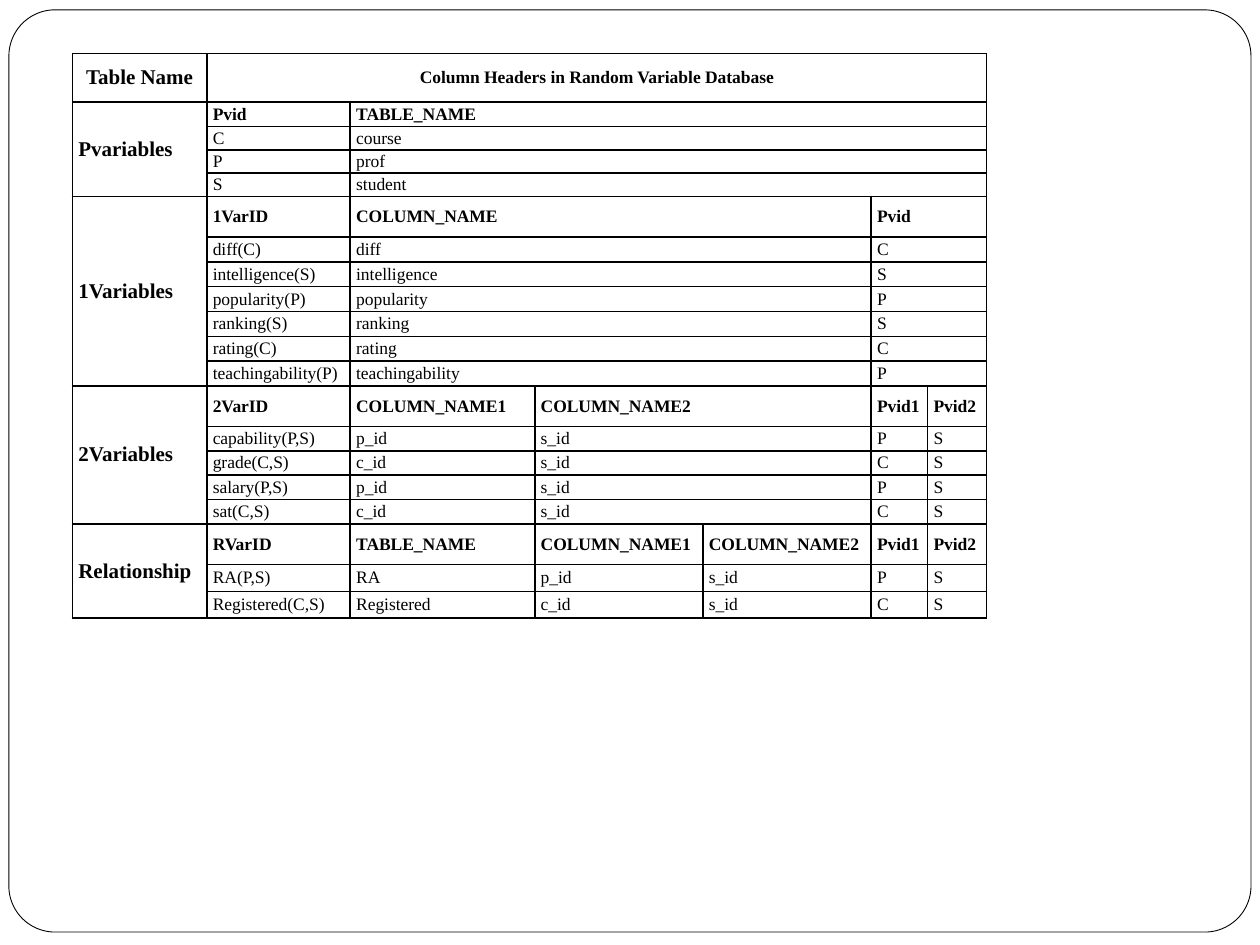
"""Build a slide with the schema table of a random variable database."""
import pptx
import pptx.dml.color
import pptx.enum.shapes
import pptx.enum.text
import pptx.oxml
import pptx.oxml.ns
import pptx.util

Cm, Pt = pptx.util.Cm, pptx.util.Pt
BLACK = pptx.dml.color.RGBColor(0, 0, 0)
WHITE = pptx.dml.color.RGBColor(255, 255, 255)
CENTER = pptx.enum.text.PP_ALIGN.CENTER
LEFT = pptx.enum.text.PP_ALIGN.LEFT

HEADINGS = ("Table Name", "Column Headers in Random Variable Database")
HEADING_HEIGHT = 0.98
COLUMN_WIDTHS = (2.71, 2.89, 3.72, 3.39, 3.39, 1.14, 1.19)

SECTIONS = [
    {"title": "Pvariables", "spans": (1, 5), "heights": (0.49, 0.47), "rows": [
        ("Pvid", "TABLE_NAME"),
        ("C", "course"),
        ("P", "prof"),
        ("S", "student"),
    ]},
    {"title": "1Variables", "spans": (1, 3, 2), "heights": (0.82, 0.5), "rows": [
        ("1VarID", "COLUMN_NAME", "Pvid"),
        ("diff(C)", "diff", "C"),
        ("intelligence(S)", "intelligence", "S"),
        ("popularity(P)", "popularity", "P"),
        ("ranking(S)", "ranking", "S"),
        ("rating(C)", "rating", "C"),
        ("teachingability(P)", "teachingability", "P"),
    ]},
    {"title": "2Variables", "spans": (1, 1, 2, 1, 1), "heights": (0.82, 0.49), "rows": [
        ("2VarID", "COLUMN_NAME1", "COLUMN_NAME2", "Pvid1", "Pvid2"),
        ("capability(P,S)", "p_id", "s_id", "P", "S"),
        ("grade(C,S)", "c_id", "s_id", "C", "S"),
        ("salary(P,S)", "p_id", "s_id", "P", "S"),
        ("sat(C,S)", "c_id", "s_id", "C", "S"),
    ]},
    {"title": "Relationship", "spans": (1,) * 6, "heights": (0.82, 0.54), "rows": [
        ("RVarID", "TABLE_NAME", "COLUMN_NAME1", "COLUMN_NAME2", "Pvid1", "Pvid2"),
        ("RA(P,S)", "RA", "p_id", "s_id", "P", "S"),
        ("Registered(C,S)", "Registered", "c_id", "s_id", "C", "S"),
    ]},
]

CELL_FORMAT = {
    "margin_left": Cm(0.12), "margin_right": Cm(0.12),
    "margin_top": 0, "margin_bottom": 0,
    "vertical_anchor": pptx.enum.text.MSO_ANCHOR.MIDDLE,
}
BODY_FONT = {"name": "Times New Roman", "size": Pt(10), "bold": False}
HEADER_FONT = {**BODY_FONT, "bold": True}
TITLE_FONT = {**HEADER_FONT, "size": Pt(12)}
BORDER = (
    '<a:{side} xmlns:a="{uri}" w="12700"><a:solidFill><a:srgbClr val="{color}"/>'
    "</a:solidFill></a:{side}>"
)


def apply(target, values):
    for attribute, value in values.items():
        setattr(target, attribute, value)


def style_cell(cell):
    apply(cell, CELL_FORMAT)
    properties = cell._tc.get_or_add_tcPr()
    for side in ("lnL", "lnR", "lnT", "lnB"):
        properties.append(pptx.oxml.parse_xml(BORDER.format(
            side=side, uri=pptx.oxml.ns.nsuri("a:main"[0]), color=BLACK)))
    cell.fill.solid()
    cell.fill.fore_color.rgb = WHITE


def write_cell(grid, row, column, text, font, height=1, width=1, align=LEFT):
    cell = grid.cell(row, column)
    if height * width > 1:
        cell.merge(grid.cell(row + height - 1, column + width - 1))
    paragraph = cell.text_frame.paragraphs[0]
    paragraph.alignment = align
    run = paragraph.add_run()
    run.text = text
    apply(run.font, font)
    run.font.color.rgb = BLACK


def add_frame(slide):
    frame = slide.shapes.add_shape(
        pptx.enum.shapes.MSO_SHAPE.ROUNDED_RECTANGLE,
        Cm(0.18), Cm(0.2), Cm(25.04), Cm(18.59))
    frame.adjustments[0] = 0.05
    frame.shadow.inherit = False
    frame.fill.solid()
    frame.fill.fore_color.rgb = WHITE
    frame.line.color.rgb = BLACK
    frame.line.width = Pt(0.5)


def add_schema(slide):
    row_heights = [HEADING_HEIGHT]
    for section in SECTIONS:
        header, body = section["heights"]
        row_heights += [header] + [body] * (len(section["rows"]) - 1)
    grid = slide.shapes.add_table(
        len(row_heights), len(COLUMN_WIDTHS), Cm(1.46), Cm(1.08),
        Cm(sum(COLUMN_WIDTHS)), Cm(sum(row_heights))).table
    for column, width in zip(grid.columns, COLUMN_WIDTHS):
        column.width = Cm(width)
    for row, height in zip(grid.rows, row_heights):
        row.height = Cm(height)
    for cell in grid.iter_cells():
        style_cell(cell)

    write_cell(grid, 0, 0, HEADINGS[0], TITLE_FONT, align=CENTER)
    write_cell(grid, 0, 1, HEADINGS[1], HEADER_FONT, width=6, align=CENTER)
    top = 1
    for section in SECTIONS:
        rows = section["rows"]
        write_cell(grid, top, 0, section["title"], TITLE_FONT, height=len(rows))
        for offset, values in enumerate(rows):
            font = BODY_FONT if offset else HEADER_FONT
            column = 1
            for text, span in zip(values, section["spans"]):
                write_cell(grid, top + offset, column, text, font, width=span)
                column += span
        top += len(rows)


def main():
    deck = pptx.Presentation()
    deck.slide_width, deck.slide_height = Cm(25.4), Cm(19.05)
    slide = deck.slides.add_slide(deck.slide_layouts[6])
    add_frame(slide)
    add_schema(slide)
    deck.save("out.pptx")


if __name__ == "__main__":
    main()
